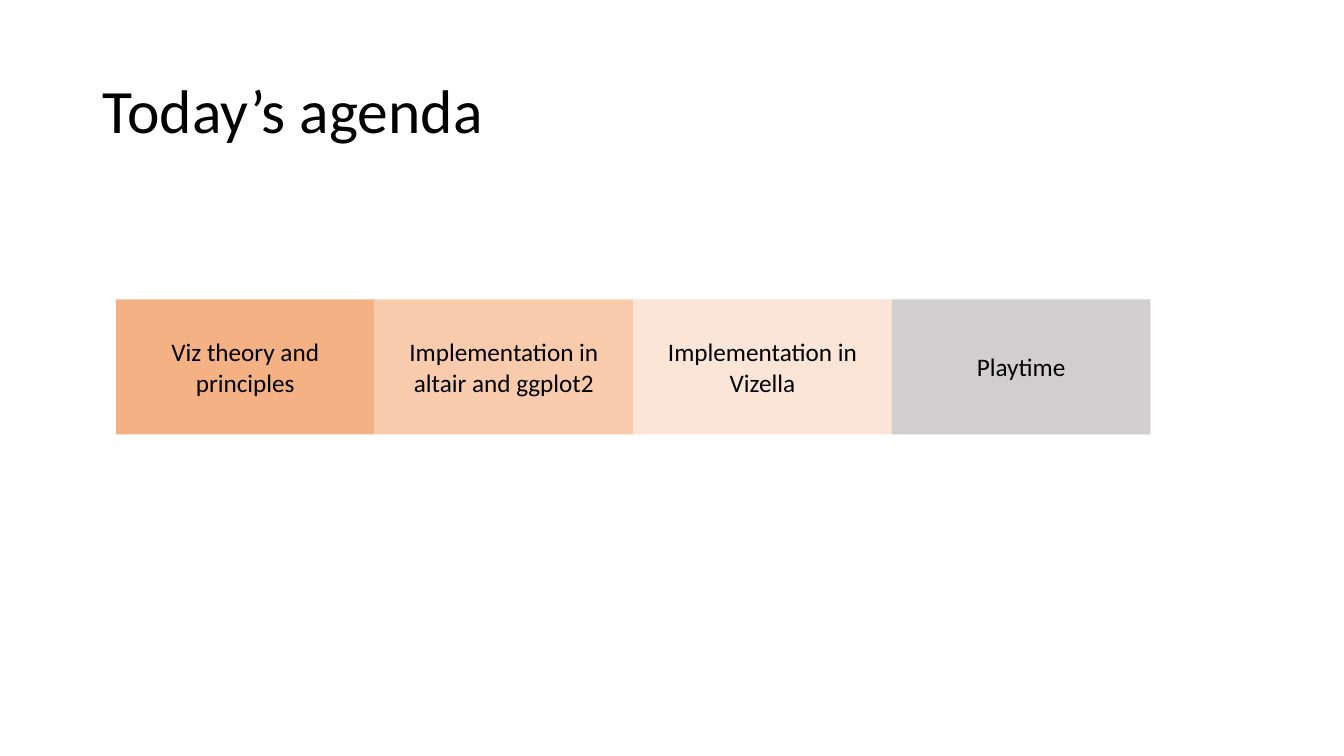
from pptx import Presentation
from pptx.dml.color import RGBColor
from pptx.enum.shapes import MSO_SHAPE
from pptx.enum.text import MSO_ANCHOR, PP_ALIGN
from pptx.util import Inches, Pt

SLIDE_WIDTH, SLIDE_HEIGHT = 13.33, 7.5
FONT = "Calibri"
COLORS = {
    "text": "000000",
    "theory": "F4B183",
    "code": "F8CBAD",
    "tool": "FBE5D6",
    "play": "D0CECE",
}
AGENDA = [
    ("Viz theory and principles", "theory"),
    ("Implementation in altair and ggplot2", "code"),
    ("Implementation in Vizella", "tool"),
    ("Playtime", "play"),
]


def write_text(frame, text, size=18, align=PP_ALIGN.CENTER, spacing=1.0):
    frame.word_wrap = True
    frame.vertical_anchor = MSO_ANCHOR.MIDDLE
    paragraph = frame.paragraphs[0]
    paragraph.alignment = align
    paragraph.line_spacing = spacing
    run = paragraph.add_run()
    run.text = text
    run.font.name = FONT
    run.font.size = Pt(size)
    run.font.color.rgb = RGBColor.from_string(COLORS["text"])


def add_title(slide, text, left, top, width, height):
    heading = slide.shapes.add_textbox(
        Inches(left), Inches(top), Inches(width), Inches(height))
    write_text(heading.text_frame, text, size=44, align=PP_ALIGN.LEFT, spacing=0.9)


def add_agenda_band(slide, sections, left, top, width, height):
    section_width = width / len(sections)
    for column, (label, color) in enumerate(sections):
        section = slide.shapes.add_shape(
            MSO_SHAPE.RECTANGLE, Inches(left + column * section_width),
            Inches(top), Inches(section_width), Inches(height))
        section.shadow.inherit = False
        section.fill.solid()
        section.fill.fore_color.rgb = RGBColor.from_string(COLORS[color])
        section.line.fill.background()
        write_text(section.text_frame, label)


def main():
    deck = Presentation()
    deck.slide_width, deck.slide_height = Inches(SLIDE_WIDTH), Inches(SLIDE_HEIGHT)
    slide = deck.slides.add_slide(deck.slide_layouts[6])

    # Heading across the top
    add_title(slide, "Today’s agenda", 0.92, 0.4, 11.5, 1.45)

    # Four equal sections side by side
    add_agenda_band(slide, AGENDA, 1.15, 2.97, 10.26, 1.34)

    deck.save("out.pptx")


if __name__ == "__main__":
    main()
